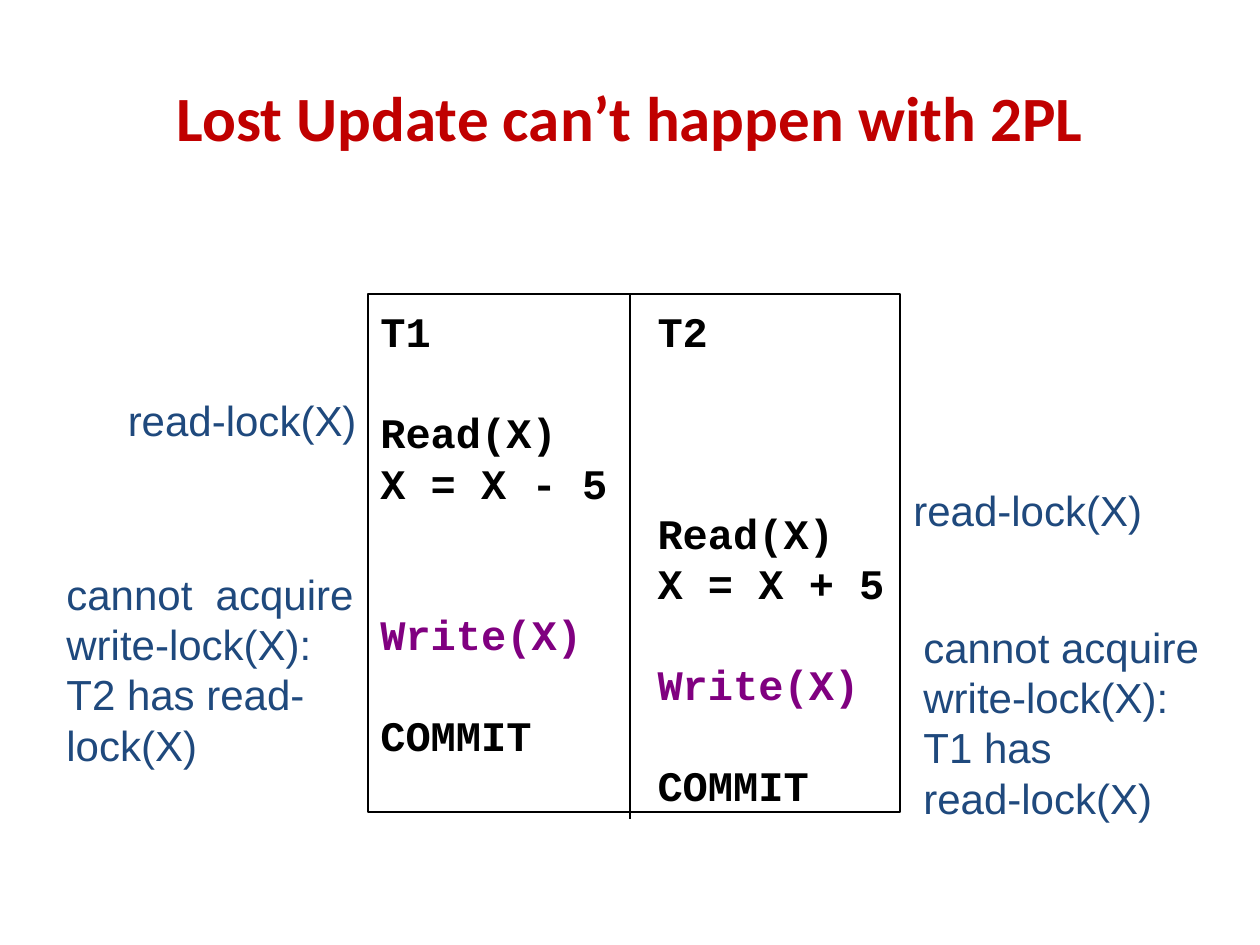
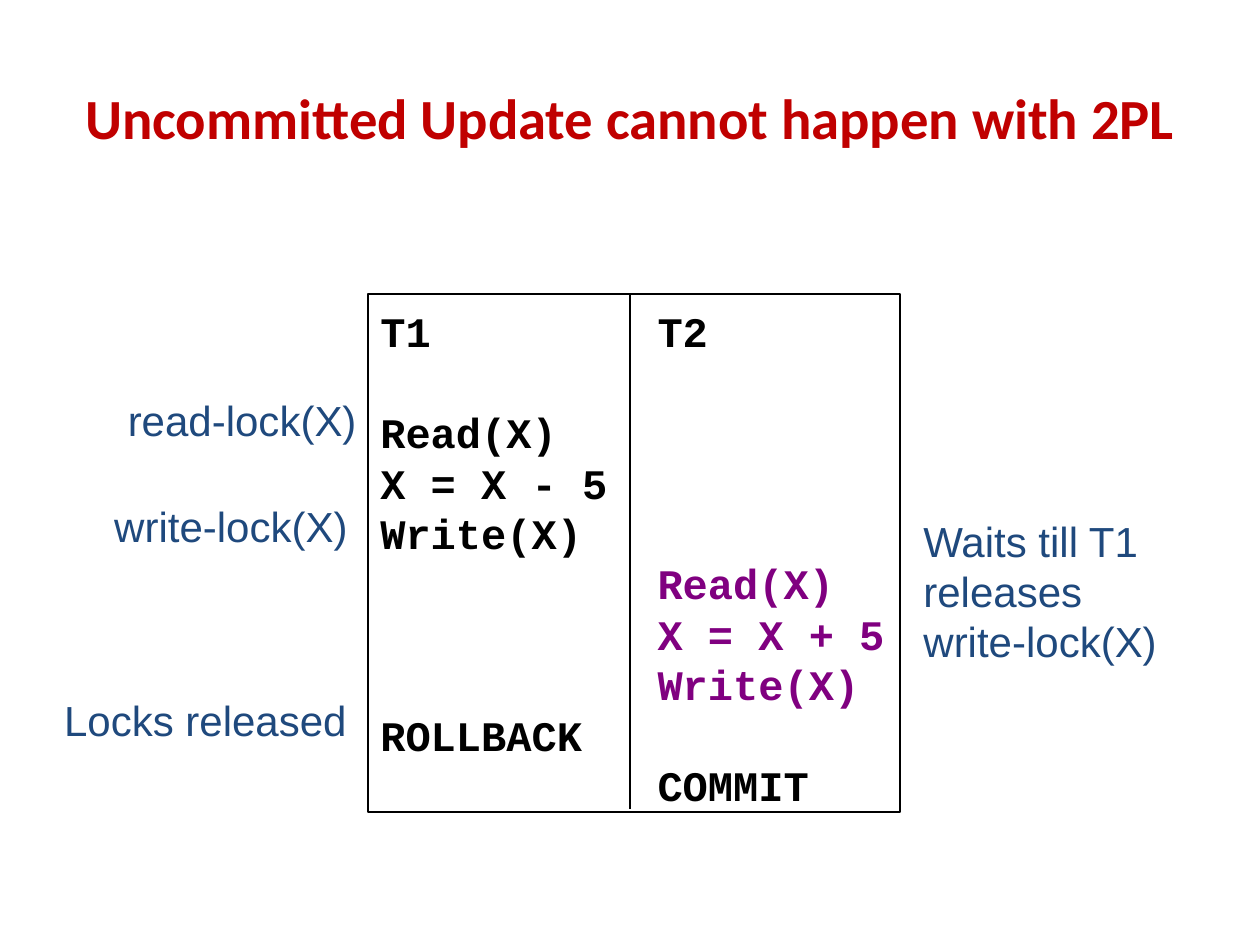
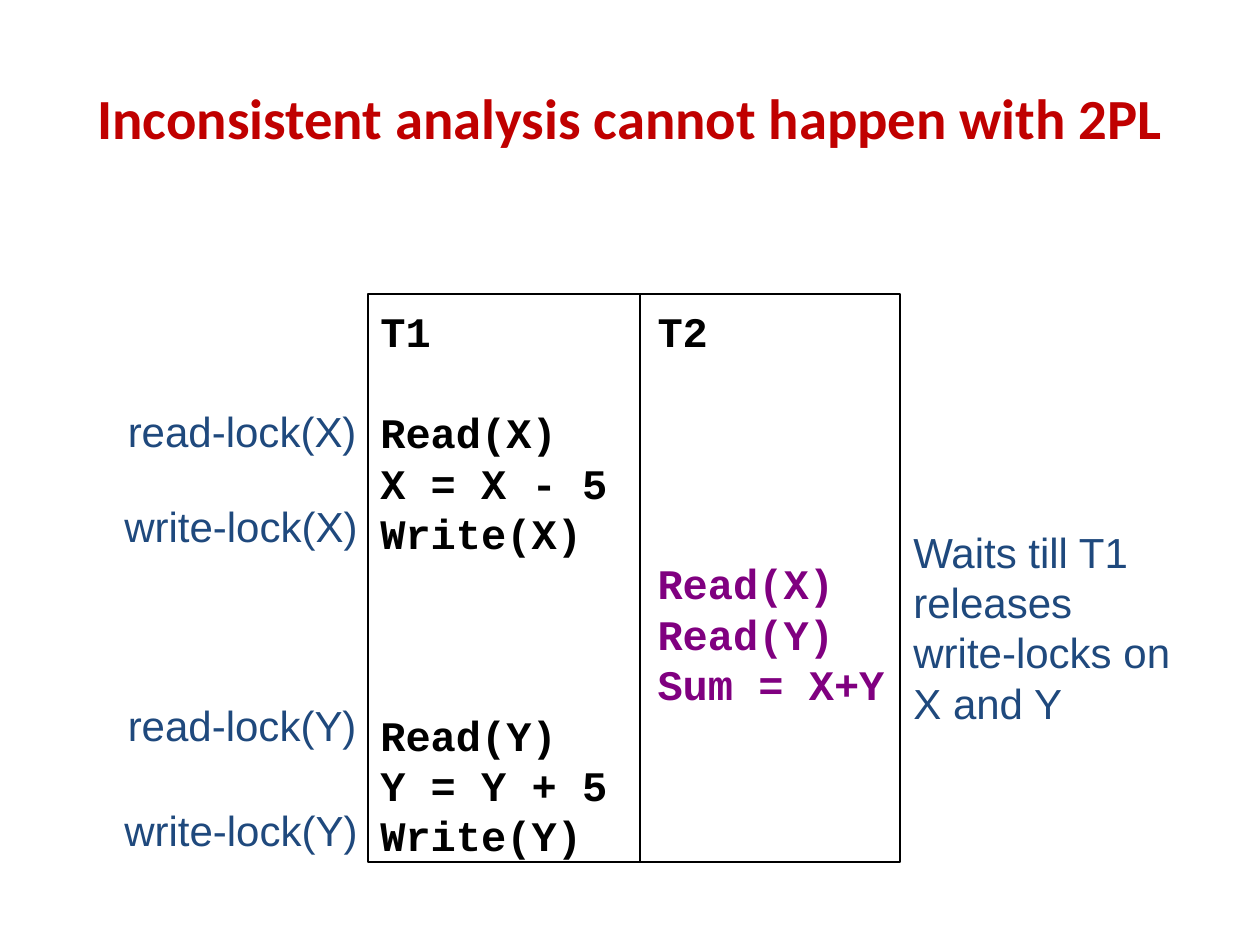
from lxml import etree
from pptx import Presentation
from pptx import util as u
from pptx.dml.color import RGBColor
from pptx.enum import shapes, text
from pptx.oxml.ns import qn

COLORS = {"title": "C00000", "code": "000000", "blocked": "800080", "note": "1F497D"}
PIXELS_PER_INCH = 126
LINE_HEIGHT = 28.8
BODY_SIZE = 24
TABLE_LEFT, TABLE_TOP, TABLE_WIDTH = 368, 294, 532

SLIDES = [
    {
        "title": ("Lost Update can’t happen with 2PL", 36),
        "height": 518,
        "divider": (630, 819, 1.5),
        "steps": [
            ("T1", "Read(X)", "code"),
            ("T1", "X = X - 5", "code"),
            ("T2", "Read(X)", "code"),
            ("T2", "X = X + 5", "code"),
            ("T1", "Write(X)", "blocked"),
            ("T2", "Write(X)", "blocked"),
            ("T1", "COMMIT", "code"),
            ("T2", "COMMIT", "code"),
        ],
        "notes": [
            (115, 388, 254, "right", False, ["read-lock(X)"]),
            (54, 562, 328, "left", True,
             ["cannot  acquire", "write-lock(X):", "T2 has read-lock(X)"]),
            (901, 478, 254, "left", False, ["read-lock(X)"]),
            (911, 615, 301, "left", False,
             ["cannot acquire", "write-lock(X):", "T1 has", "read-lock(X)"]),
        ],
    },
    {
        "title": ("Uncommitted Update cannot happen with 2PL", 32.4),
        "height": 518,
        "divider": (630, 809, 1.5),
        "steps": [
            ("T1", "Read(X)", "code"),
            ("T1", "X = X - 5", "code"),
            ("T1", "Write(X)", "code"),
            ("T2", "Read(X)", "blocked"),
            ("T2", "X = X + 5", "blocked"),
            ("T2", "Write(X)", "blocked"),
            ("T1", "ROLLBACK", "code"),
            ("T2", "COMMIT", "code"),
        ],
        "notes": [
            (115, 388, 254, "right", False, ["read-lock(X)"]),
            (101, 494, 259, "right", False, ["write-lock(X)"]),
            (911, 509, 259, "left", False,
             ["Waits till T1", "releases", "write-lock(X)"]),
            (50, 688, 309, "right", False, ["Locks released"]),
        ],
    },
    {
        "title": ("Inconsistent analysis cannot happen with 2PL", 32.4),
        "height": 568,
        "divider": (640, 861, 0.75),
        "steps": [
            ("T1", "Read(X)", "code"),
            ("T1", "X = X - 5", "code"),
            ("T1", "Write(X)", "code"),
            ("T2", "Read(X)", "blocked"),
            ("T2", "Read(Y)", "blocked"),
            ("T2", "Sum = X+Y", "blocked"),
            ("T1", "Read(Y)", "code"),
            ("T1", "Y = Y + 5", "code"),
            ("T1", "Write(Y)", "code"),
        ],
        "notes": [
            (115, 399, 254, "right", False, ["read-lock(X)"]),
            (111, 494, 259, "right", False, ["write-lock(X)"]),
            (115, 693, 254, "right", False, ["read-lock(Y)"]),
            (111, 798, 259, "right", False, ["write-lock(Y)"]),
            (901, 520, 282, "left", False,
             ["Waits till T1", "releases", "write-locks on", "X and Y"]),
        ],
    },
]


def px(pixels):
    return u.Inches(pixels / PIXELS_PER_INCH)


def color(name):
    return RGBColor.from_string(COLORS[name])


def format_runs(paragraph, font_name, size, color_name, bold):
    for run in paragraph.runs:
        run.font.name = font_name
        run.font.size = u.Pt(size)
        run.font.bold = bold
        run.font.color.rgb = color(color_name)


def fill_lines(text_frame, lines, font_name, bold, align):
    for index, (line, color_name) in enumerate(lines):
        paragraph = text_frame.paragraphs[0] if index == 0 else text_frame.add_paragraph()
        paragraph.text = line
        paragraph.alignment = align
        paragraph.line_spacing = u.Pt(LINE_HEIGHT)
        format_runs(paragraph, font_name, BODY_SIZE, color_name, bold)


def add_tab_stops(paragraph):
    tab_list = etree.SubElement(paragraph._p.get_or_add_pPr(), qn("a:tabLst"))
    for inches in (1, 2):
        etree.SubElement(tab_list, qn("a:tab"), pos=str(u.Inches(inches)), algn="l")


def add_title(slide, title, size):
    shape = slide.shapes.title
    shape.left, shape.top, shape.width, shape.height = map(px, (63, 38, 1134, 157))
    shape.text_frame.text = title
    shape.text_frame.vertical_anchor = text.MSO_ANCHOR.MIDDLE
    paragraph = shape.text_frame.paragraphs[0]
    paragraph.alignment = text.PP_ALIGN.CENTER
    format_runs(paragraph, "Calibri", size, "title", True)


def add_schedule(slide, steps, height):
    box = slide.shapes.add_shape(
        shapes.MSO_SHAPE.RECTANGLE, px(TABLE_LEFT), px(TABLE_TOP), px(TABLE_WIDTH), px(height))
    box.shadow.inherit = False
    box.fill.background()
    box.line.color.rgb = color("code")
    box.line.width = u.Pt(1.5)
    frame = box.text_frame
    frame.word_wrap = True
    frame.vertical_anchor = text.MSO_ANCHOR.TOP
    frame.margin_top, frame.margin_right, frame.margin_bottom = px(12), 0, 0
    lines = [("T1\t\t T2", "code")]
    lines += [(step if owner == "T1" else "\t\t " + step, name) for owner, step, name in steps]
    fill_lines(frame, lines, "Courier New", True, text.PP_ALIGN.LEFT)
    frame.paragraphs[0].space_after = u.Pt(LINE_HEIGHT)
    for paragraph in frame.paragraphs:
        add_tab_stops(paragraph)


def add_divider(slide, x, bottom, width):
    line = slide.shapes.add_connector(
        shapes.MSO_CONNECTOR.STRAIGHT, px(x), px(TABLE_TOP), px(x), px(bottom))
    line.line.color.rgb = color("code")
    line.line.width = u.Pt(width)
    etree.SubElement(line._element.spPr, qn("a:effectLst"))


def add_note(slide, left, top, width, align, wrap, lines):
    height = u.Pt(LINE_HEIGHT * (len(lines) + wrap)) + u.Inches(0.1)
    frame = slide.shapes.add_textbox(px(left), px(top), px(width), height).text_frame
    frame.word_wrap = wrap
    frame.auto_size = text.MSO_AUTO_SIZE.SHAPE_TO_FIT_TEXT
    alignment = text.PP_ALIGN.RIGHT if align == "right" else text.PP_ALIGN.LEFT
    fill_lines(frame, [(line, "note") for line in lines], "Arial", False, alignment)


presentation = Presentation()
presentation.slide_width = u.Inches(10)
presentation.slide_height = u.Inches(7.5)
for content in SLIDES:
    slide = presentation.slides.add_slide(presentation.slide_layouts[5])
    add_title(slide, *content["title"])
    add_schedule(slide, content["steps"], content["height"])
    add_divider(slide, *content["divider"])
    for note in content["notes"]:
        add_note(slide, *note)
presentation.save("out.pptx")
